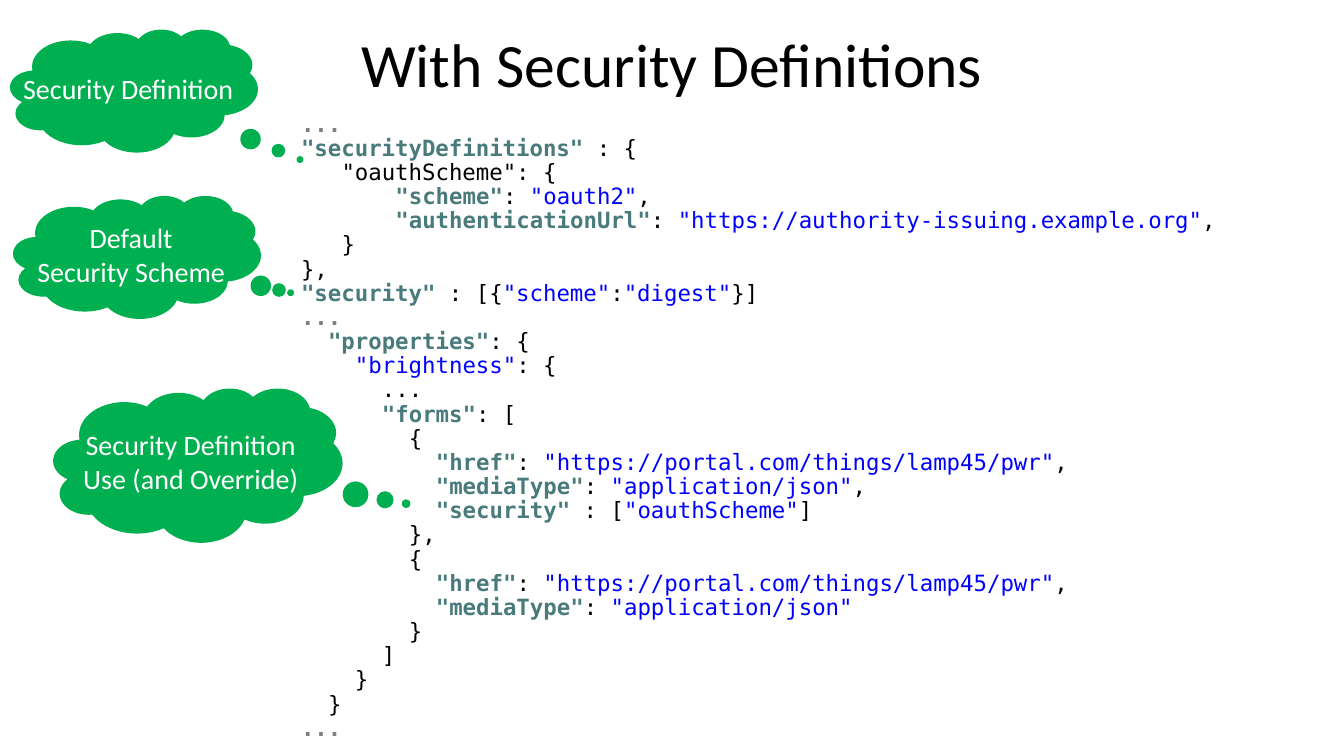
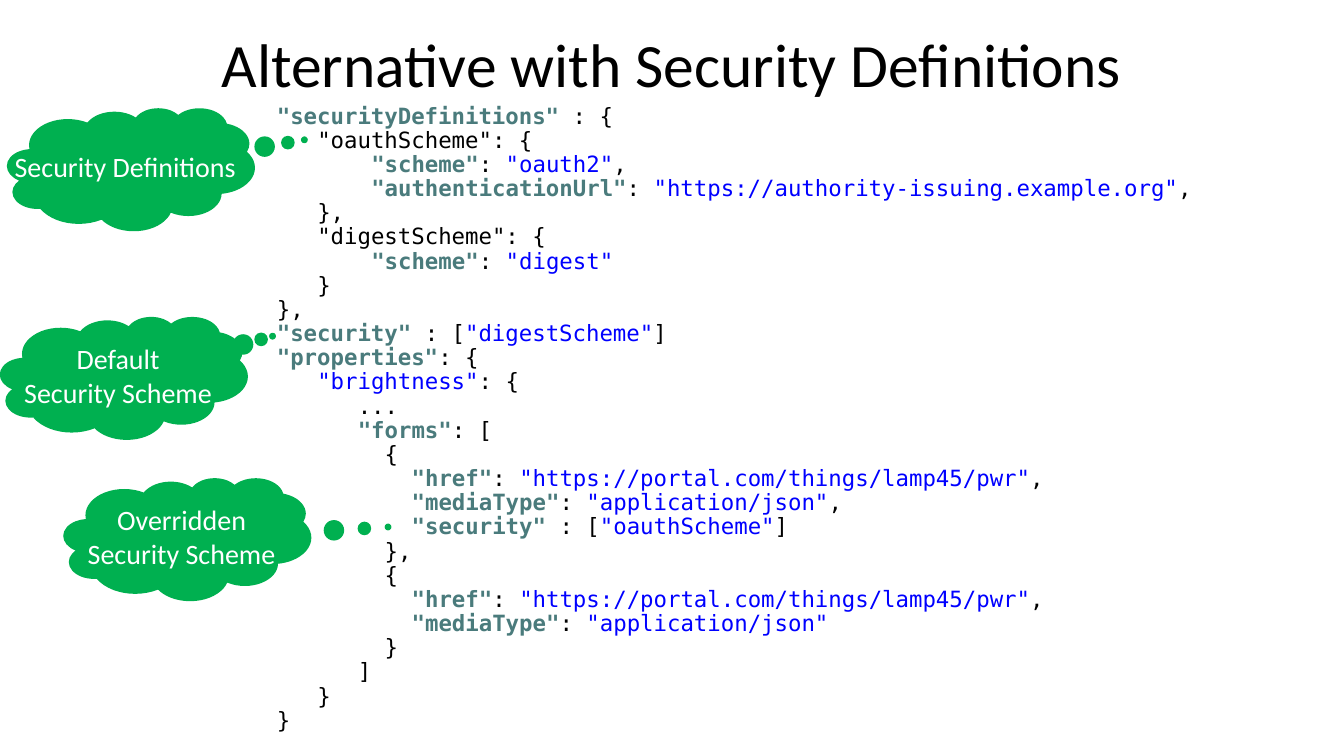
"""Build two slides of annotated security definitions in JSON."""
from pptx import Presentation
from pptx.dml.color import RGBColor
from pptx.enum.shapes import MSO_SHAPE
from pptx.enum.text import MSO_ANCHOR, PP_ALIGN
from pptx.util import Pt

CLOUD = MSO_SHAPE.CLOUD_CALLOUT
MIDDLE = MSO_ANCHOR.MIDDLE
CENTER = PP_ALIGN.CENTER

COLORS = {"text": "000000", "key": "4A7B7C", "value": "0000FF",
          "elided": "808080", "cloud": "00B050", "label": "FFFFFF"}
SANS, MONO = "Calibri", "DejaVu Sans Mono"
SLIDE_W, SLIDE_H = 960.48, 540
TITLE_H = 90
CODE_W = 712.08
CODE_SIZE = 16
CHAR_W = 0.602 * CODE_SIZE
CLOUD_W, CLOUD_H = 177.12, 87.84

KEYWORDS = {"securityDefinitions", "scheme", "authenticationUrl", "security",
            "properties", "forms", "href", "mediaType"}
SCHEMES = {"oauthScheme", "digestScheme"}

OAUTH = [
    (0, '"securityDefinitions" : {'),
    (3, '"oauthScheme": {'),
    (7, '"scheme": "oauth2",'),
    (7, '"authenticationUrl": "https://authority-issuing.example.org",'),
]
FORMS = [
    (6, '...'),
    (6, '"forms": ['),
    (8, '{'),
    (10, '"href": "https://portal.com/things/lamp45/pwr",'),
    (10, '"mediaType": "application/json",'),
    (10, '"security" : ["oauthScheme"]'),
    (8, '},'),
    (8, '{'),
    (10, '"href": "https://portal.com/things/lamp45/pwr",'),
    (10, '"mediaType": "application/json"'),
    (8, '}'),
    (6, ']'),
]
SLIDES = [
    {
        "title": "With Security Definitions",
        "code_box": (208.08, 77.04, 478.08),
        "code": [
            (0, '...'),
            *OAUTH,
            (3, '}'),
            (0, '},'),
            (0, '"security" : [{"scheme":"digest"}]'),
            (0, '...'),
            (2, '"properties": {'),
            (4, '"brightness": {'),
            *FORMS,
            (4, '}'),
            (2, '}'),
            (0, '...'),
        ],
        "clouds": [
            (["Default", "Security Scheme"],
             (9.36, 139.68, CLOUD_W, CLOUD_H), (0.62, 0.29)),
            (["Security Definition"],
             (7.2, 20.88, CLOUD_W, CLOUD_H), (0.67, 0.56)),
            (["Security Definition", "Use (and Override)"],
             (38.16, 277.2, 206.64, 110.16), (0.72, 0.25)),
        ],
    },
    {
        "title": "Alternative with Security Definitions",
        "code_box": (190.8, 71.28, 496.08),
        "code": [
            *OAUTH,
            (3, '},'),
            (3, '"digestScheme": {'),
            (7, '"scheme": "digest"'),
            (3, '}'),
            (0, '},'),
            (0, '"security" : ["digestScheme"]'),
            (0, '"properties": {'),
            (3, '"brightness": {'),
            *FORMS,
            (3, '}'),
            (0, '}'),
        ],
        "clouds": [
            (["Security Definitions"],
             (5.04, 77.04, CLOUD_W, CLOUD_H), (0.7, -0.24)),
            (["Default", "Security Scheme"],
             (0, 226.08, CLOUD_W, CLOUD_H), (0.6, -0.34)),
            (["Overridden", "Security Scheme"],
             (45.36, 341.28, CLOUD_W, CLOUD_H), (0.81, -0.1)),
        ],
    },
]


def rgb(name):
    return RGBColor.from_string(COLORS[name])


def set_insets(tf, left, top, right, bottom):
    tf.margin_left, tf.margin_top = Pt(left), Pt(top)
    tf.margin_right, tf.margin_bottom = Pt(right), Pt(bottom)


def write_lines(tf, lines, size, color):
    for i, line in enumerate(lines):
        p = tf.paragraphs[0] if i == 0 else tf.add_paragraph()
        p.text = line
        p.alignment = CENTER
        p.font.name, p.font.size = SANS, Pt(size)
        p.font.color.rgb = rgb(color)


def add_title(s, title):
    tf = s.shapes.add_textbox(0, 0, Pt(SLIDE_W), Pt(TITLE_H)).text_frame
    tf.word_wrap = True
    tf.vertical_anchor = MIDDLE
    set_insets(tf, 9.36, 5.04, 9.36, 5.04)
    write_lines(tf, [title], 44, "text")


def tokens(indent, line):
    """Yield each piece of a code line with its colour name."""
    if line == "..." and indent == 0:
        yield line, "elided"
        return
    for i, piece in enumerate(line.split('"')):
        if i % 2 == 0:
            if piece:
                yield piece, "text"
        elif i == 1 and line.startswith('"') and piece in KEYWORDS:
            yield f'"{piece}"', "key"
        elif i == 1 and line.startswith('"') and piece in SCHEMES:
            yield f'"{piece}"', "text"
        else:
            yield f'"{piece}"', "value"


def add_code(s, box, code):
    left, top, height = box
    tf = s.shapes.add_textbox(Pt(left), Pt(top), Pt(CODE_W), Pt(height)).text_frame
    tf.word_wrap = True
    for i, (indent, line) in enumerate(code):
        p = tf.paragraphs[0] if i == 0 else tf.add_paragraph()
        p.line_spacing = 0.9
        p.font.name, p.font.size = MONO, Pt(CODE_SIZE)
        p._p.get_or_add_pPr().set("marL", str(Pt(indent * CHAR_W)))
        for text, color in tokens(indent, line):
            r = p.add_run()
            r.text = text
            r.font.color.rgb = rgb(color)
            r.font.bold = color in ("key", "elided")


def add_cloud(s, lines, box, tail):
    sp = s.shapes.add_shape(CLOUD, *map(Pt, box))
    sp.adjustments[0], sp.adjustments[1] = tail
    sp.shadow.inherit = False
    sp.fill.solid()
    sp.fill.fore_color.rgb = rgb("cloud")
    sp.line.fill.background()
    tf = sp.text_frame
    tf.word_wrap = False
    tf.vertical_anchor = MIDDLE
    set_insets(tf, 11.52, 3.6, 7.2, 3.6)
    write_lines(tf, lines, 20, "label")


prs = Presentation()
prs.slide_width, prs.slide_height = Pt(SLIDE_W), Pt(SLIDE_H)
for content in SLIDES:
    s = prs.slides.add_slide(prs.slide_layouts[6])
    add_title(s, content["title"])
    add_code(s, content["code_box"], content["code"])
    for cloud in content["clouds"]:
        add_cloud(s, *cloud)
prs.save("out.pptx")
